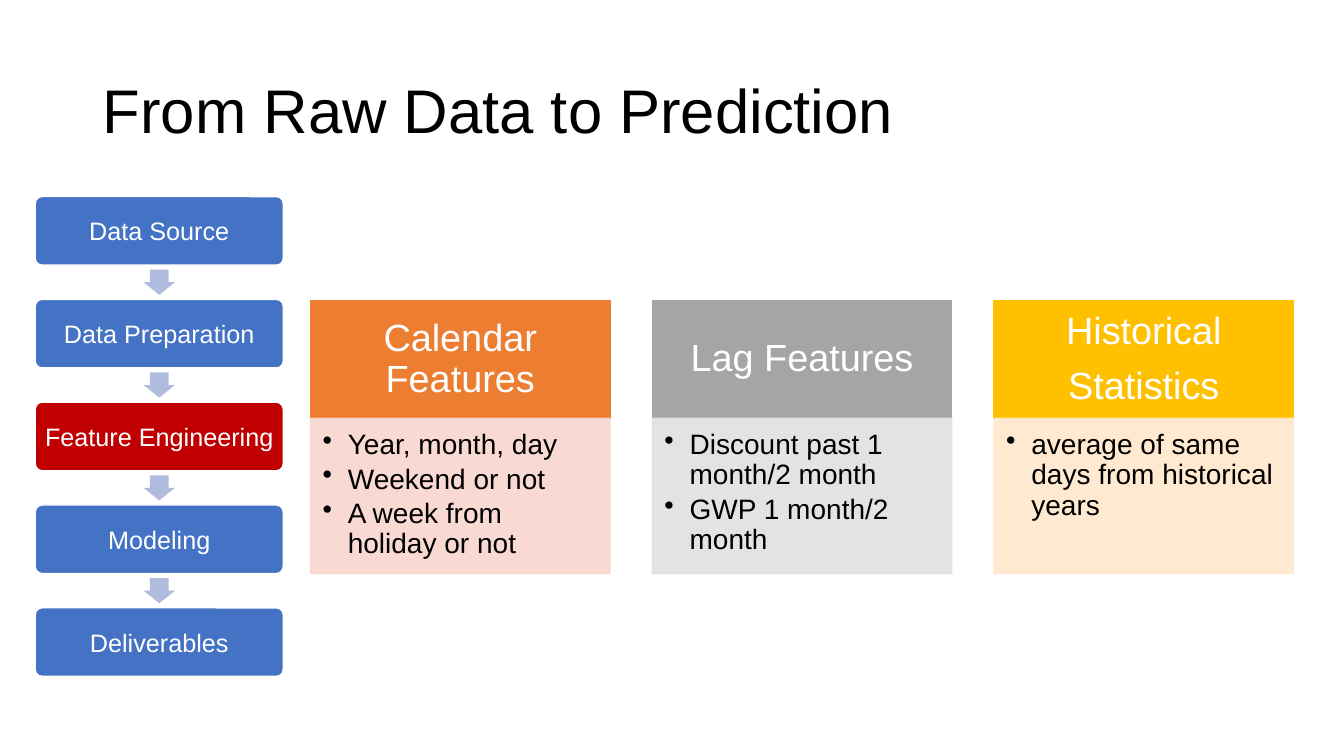
from lxml.etree import SubElement
from pptx import Presentation
from pptx.dml.color import RGBColor
from pptx.enum.shapes import MSO_SHAPE as Shape
from pptx.enum.text import MSO_ANCHOR as Anchor, PP_ALIGN as Align
from pptx.oxml.ns import qn
from pptx.util import Inches, Pt

FONT = "Arial"
BLACK = RGBColor(0x00, 0x00, 0x00)
WHITE = RGBColor(0xFF, 0xFF, 0xFF)
BLUE = RGBColor(0x44, 0x72, 0xC4)
RED = RGBColor(0xC0, 0x00, 0x00)
PALE_BLUE = RGBColor(0xB0, 0xBC, 0xDE)
ORANGE = RGBColor(0xED, 0x7D, 0x31)
PALE_ORANGE = RGBColor(0xF8, 0xD7, 0xCE)
GRAY = RGBColor(0xA5, 0xA5, 0xA5)
PALE_GRAY = RGBColor(0xE1, 0xE1, 0xE1)
GOLD = RGBColor(0xFF, 0xC0, 0x00)
PALE_GOLD = RGBColor(0xFF, 0xE8, 0xCC)

STEPS = ["Data Source", "Data Preparation", "Feature Engineering", "Modeling", "Deliverables"]
CURRENT_STEP = "Feature Engineering"
FEATURES = [
    (["Calendar Features"], ORANGE, PALE_ORANGE,
     ["Year, month, day", "Weekend or not", "A week from holiday or not"]),
    (["Lag Features"], GRAY, PALE_GRAY,
     ["Discount past 1 month/2 month", "GWP 1 month/2 month"]),
    (["Historical", "Statistics"], GOLD, PALE_GOLD,
     ["average of same days from historical years"]),
]

# Process column
STEP_LEFT, STEP_TOP, STEP_WIDTH, STEP_HEIGHT, STEP_PITCH = 0.35, 1.95, 2.46, 0.68, 1.02
ARROW_WIDTH, ARROW_HEIGHT = 0.31, 0.25

# Feature cards
CARD_LEFT, CARD_TOP, CARD_WIDTH, CARD_PITCH = 3.08, 2.98, 2.97, 3.39
HEADER_HEIGHT, BODY_HEIGHT = 1.17, 1.54


def add_block(slide, kind, left, top, width, height, fill, line=None):
    block = slide.shapes.add_shape(
        kind, Inches(left), Inches(top), Inches(width), Inches(height))
    block.shadow.inherit = False
    block.fill.solid()
    block.fill.fore_color.rgb = fill
    if line is None:
        block.line.fill.background()
    else:
        block.line.color.rgb = line
        block.line.width = Pt(1)
    return block


def set_margins(frame, left, top, right, bottom):
    frame.margin_left, frame.margin_top = Inches(left), Inches(top)
    frame.margin_right, frame.margin_bottom = Inches(right), Inches(bottom)


def write(frame, lines, size, color, align, spacing=1.0, after=0, bullets=False):
    frame.word_wrap = True
    frame.text = "\n".join(lines)
    for paragraph in frame.paragraphs:
        paragraph.alignment = align
        paragraph.line_spacing = spacing
        paragraph.space_after = Pt(after)
        if bullets:
            add_bullet(paragraph)
        for run in paragraph.runs:
            run.font.name = FONT
            run.font.size = Pt(size)
            run.font.color.rgb = color


def add_bullet(paragraph):
    properties = paragraph._p.get_or_add_pPr()
    properties.set("marL", str(Inches(0.25)))
    properties.set("indent", str(-Inches(0.25)))
    SubElement(properties, qn("a:buChar"), char="•")


def set_opacity(block, percent):
    for color in block._element.spPr.iter(qn("a:srgbClr")):
        SubElement(color, qn("a:alpha"), val=str(percent * 1000))


def add_title(slide, text):
    title = slide.shapes.title
    title.left, title.top = Inches(0.92), Inches(0.4)
    title.width, title.height = Inches(11.5), Inches(1.45)
    title.text_frame.vertical_anchor = Anchor.MIDDLE
    write(title.text_frame, [text], 44, BLACK, Align.LEFT, spacing=0.9)


def add_step(slide, top, label):
    fill = RED if label == CURRENT_STEP else BLUE
    step = add_block(slide, Shape.ROUNDED_RECTANGLE, STEP_LEFT, top,
                     STEP_WIDTH, STEP_HEIGHT, fill, WHITE)
    step.adjustments[0] = 0.1
    step.text_frame.vertical_anchor = Anchor.MIDDLE
    set_margins(step.text_frame, 0.07, 0.07, 0.07, 0.07)
    write(step.text_frame, [label], 18, WHITE, Align.CENTER)


def add_step_arrow(slide, step_top):
    gap = STEP_PITCH - STEP_HEIGHT
    arrow = add_block(slide, Shape.DOWN_ARROW,
                      STEP_LEFT + (STEP_WIDTH - ARROW_WIDTH) / 2,
                      step_top + STEP_HEIGHT + (gap - ARROW_HEIGHT) / 2,
                      ARROW_WIDTH, ARROW_HEIGHT, PALE_BLUE)
    arrow.adjustments[0] = 0.6
    arrow.adjustments[1] = 0.5


def add_card(slide, left, heading, color, pale_color, points):
    header = add_block(slide, Shape.RECTANGLE, left, CARD_TOP,
                       CARD_WIDTH, HEADER_HEIGHT, color, color)
    header.text_frame.vertical_anchor = Anchor.MIDDLE
    set_margins(header.text_frame, 0.21, 0.12, 0.21, 0.12)
    write(header.text_frame, heading, 27, WHITE, Align.CENTER, spacing=0.9, after=10)

    body = add_block(slide, Shape.RECTANGLE, left, CARD_TOP + HEADER_HEIGHT,
                     CARD_WIDTH, BODY_HEIGHT, pale_color, pale_color)
    set_opacity(body, 90)
    body.text_frame.vertical_anchor = Anchor.TOP
    set_margins(body.text_frame, 0.12, 0.12, 0.16, 0.17)
    write(body.text_frame, points, 20, BLACK, Align.LEFT, spacing=0.9, after=3, bullets=True)


def main():
    deck = Presentation()
    deck.slide_width, deck.slide_height = Inches(13.33), Inches(7.5)
    slide = deck.slides.add_slide(deck.slide_layouts.get_by_name("Title Only"))
    add_title(slide, "From Raw Data to Prediction")

    # Process steps with arrows between them
    for index, label in enumerate(STEPS):
        top = STEP_TOP + index * STEP_PITCH
        add_step(slide, top, label)
        if index < len(STEPS) - 1:
            add_step_arrow(slide, top)

    # Feature groups
    for index, feature in enumerate(FEATURES):
        add_card(slide, CARD_LEFT + index * CARD_PITCH, *feature)

    deck.save("out.pptx")


if __name__ == "__main__":
    main()
